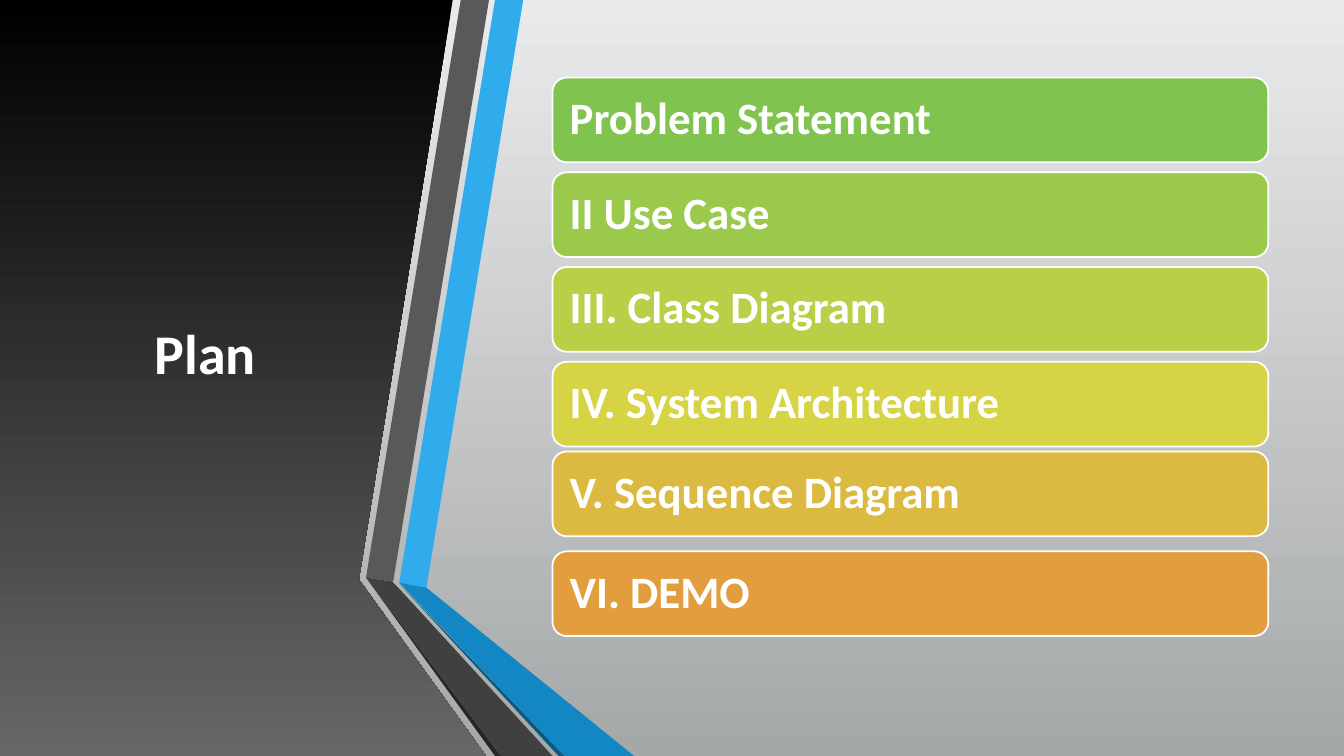
import pptx
import pptx.dml.color
import pptx.enum.shapes
import pptx.enum.text
import pptx.util

Inches = pptx.util.Inches
Pt = pptx.util.Pt
RGBColor = pptx.dml.color.RGBColor
PP_ALIGN = pptx.enum.text.PP_ALIGN

WHITE = RGBColor(0xFF, 0xFF, 0xFF)
BLACK = RGBColor(0x00, 0x00, 0x00)
PANEL_GRAY = RGBColor(0x67, 0x67, 0x67)
BG_LIGHT = RGBColor(0xE9, 0xEA, 0xEB)
BG_DARK = RGBColor(0xA5, 0xA8, 0xA9)
BLUE = RGBColor(0x30, 0xAC, 0xEC)
BLUE_MID = RGBColor(0x12, 0x87, 0xC3)
BLUE_DEEP = RGBColor(0x0C, 0x5A, 0x82)
GRAY = RGBColor(0x59, 0x59, 0x59)
GRAY_MID = RGBColor(0x40, 0x40, 0x40)
GRAY_DEEP = RGBColor(0x26, 0x26, 0x26)

PANEL = [(0, 0), (4.49, 0), (3.56, 5.75), (4.82, 7.5), (0, 7.5)]
RIBBONS = [
    (BLUE, [(3.96, 5.78), (4.23, 5.83), (5.19, 0), (4.91, 0)]),
    (GRAY, [(4.85, 0), (4.57, 0), (3.63, 5.73), (3.9, 5.77)]),
    (GRAY_DEEP, [(3.63, 5.73), (4.91, 7.5), (4.97, 7.5)]),
    (BLUE_DEEP, [(3.96, 5.79), (5.54, 7.5), (5.6, 7.5)]),
    (BLUE_MID, [(3.96, 5.78), (5.6, 7.5), (6.29, 7.5), (4.23, 5.83)]),
    (GRAY_MID, [(5.48, 7.5), (3.95, 5.83), (3.89, 5.77), (3.63, 5.73), (4.97, 7.5)]),
]
AGENDA = [
    ("Problem Statement", 0.77, RGBColor(0x80, 0xC3, 0x4F)),
    ("II Use Case", 1.71, RGBColor(0x9A, 0xC9, 0x4B)),
    ("III. Class Diagram", 2.65, RGBColor(0xB8, 0xD0, 0x48)),
    ("IV. System Architecture", 3.59, RGBColor(0xD6, 0xD3, 0x44)),
    ("V. Sequence Diagram", 4.48, RGBColor(0xDC, 0xBA, 0x41)),
    ("VI. DEMO", 5.47, RGBColor(0xE2, 0x9D, 0x3E)),
]


class PlanSlide:
    """Draws styled elements on one slide."""

    font = "Calibri"

    def __init__(self, slide):
        self.slide = slide
        self.shapes = slide.shapes

    def gradient(self, fill, top, bottom):
        fill.gradient()
        fill.gradient_angle = 270
        for stop, color in zip(fill.gradient_stops, (top, bottom)):
            stop.color.rgb = color

    def background(self, top, bottom):
        self.gradient(self.slide.background.fill, top, bottom)

    def polygon(self, points):
        start, *rest = [(Inches(x), Inches(y)) for x, y in points]
        builder = self.shapes.build_freeform(*start)
        builder.add_line_segments(rest, close=True)
        sp = builder.convert_to_shape()
        sp.shadow.inherit = False
        sp.line.fill.background()
        return sp

    def panel(self, points, top, bottom):
        self.gradient(self.polygon(points).fill, top, bottom)

    def ribbon(self, points, color):
        sp = self.polygon(points)
        sp.fill.solid()
        sp.fill.fore_color.rgb = color

    def label(self, sp, text, size, align):
        tf = sp.text_frame
        tf.text = text
        tf.word_wrap = True
        tf.vertical_anchor = pptx.enum.text.MSO_ANCHOR.MIDDLE
        p = tf.paragraphs[0]
        p.alignment = align
        p.line_spacing = 0.9
        p.font.name = self.font
        p.font.size = Pt(size)
        p.font.bold = True
        p.font.color.rgb = WHITE

    def title(self, text, left, top, width, height):
        sp = self.shapes.title
        sp.left, sp.top = Inches(left), Inches(top)
        sp.width, sp.height = Inches(width), Inches(height)
        self.label(sp, text, 40, PP_ALIGN.CENTER)
        sp.element.getparent().append(sp.element)

    def bar(self, text, top, color):
        sp = self.shapes.add_shape(
            pptx.enum.shapes.MSO_SHAPE.ROUNDED_RECTANGLE,
            Inches(5.48), Inches(top), Inches(7.1), Inches(0.84))
        sp.shadow.inherit = False
        sp.fill.solid()
        sp.fill.fore_color.rgb = color
        sp.line.color.rgb = WHITE
        sp.line.width = Pt(1.25)
        tf = sp.text_frame
        tf.margin_left = tf.margin_right = Inches(0.13)
        self.label(sp, text, 32, PP_ALIGN.LEFT)


def main():
    prs = pptx.Presentation()
    prs.slide_width, prs.slide_height = Inches(13.33), Inches(7.5)
    s = PlanSlide(prs.slides.add_slide(prs.slide_layouts[5]))
    s.background(BG_LIGHT, BG_DARK)
    s.panel(PANEL, BLACK, PANEL_GRAY)
    s.title("Plan", 0.59, 0.75, 2.89, 5.58)
    for color, points in RIBBONS:
        s.ribbon(points, color)
    for text, top, color in AGENDA:
        s.bar(text, top, color)
    prs.save("out.pptx")


if __name__ == "__main__":
    main()
